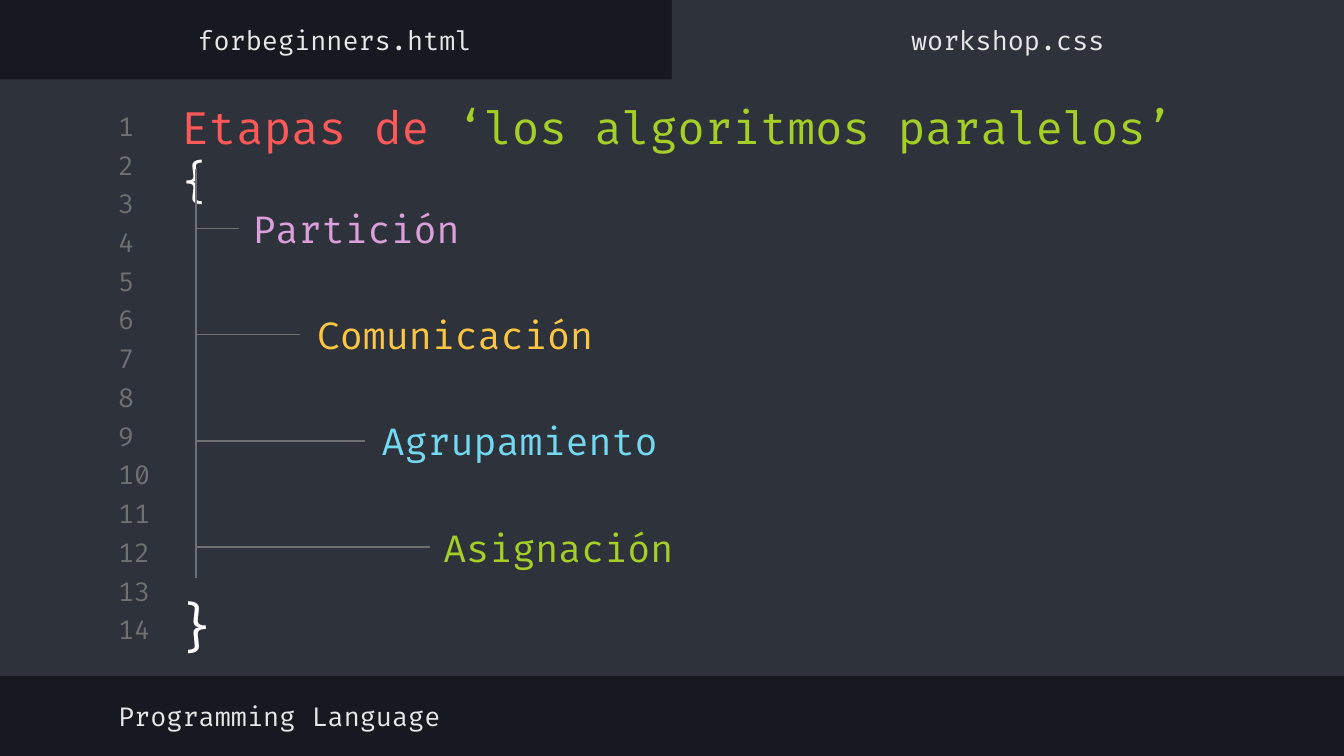
import pptx
import pptx.util
import pptx.dml.color
import pptx.enum.shapes
import pptx.enum.text
import pptx.oxml.ns
import lxml.etree

Pt = pptx.util.Pt
Align = pptx.enum.text.PP_ALIGN
Anchor = pptx.enum.text.MSO_ANCHOR

COLORS = {
    "dark": "16191F", "panel": "2E323B", "gray": "707070", "light": "E7E7E7",
    "white": "FFFFFF", "red": "FF5858", "green": "A5CF27", "pink": "DBA0DB",
    "yellow": "FCC642", "blue": "72D9F0",
}


def rgb(name):
    return pptx.dml.color.RGBColor.from_string(COLORS[name])


class CodePage:
    font = "Fira Code"
    inset = 7.2

    def __init__(self, deck):
        self.page = deck.slides.add_slide(deck.slide_layouts[6])
        fill = self.page.background.fill
        fill.solid()
        fill.fore_color.rgb = rgb("dark")

    def panel(self, left, top, width, height):
        shape = self.page.shapes.add_shape(
            pptx.enum.shapes.MSO_SHAPE.RECTANGLE,
            Pt(left), Pt(top), Pt(width), Pt(height))
        shape.shadow.inherit = False
        shape.fill.solid()
        shape.fill.fore_color.rgb = rgb("panel")
        shape.line.fill.background()

    def text(self, left, top, width, height, spans, size=14,
             align=Align.LEFT, anchor=Anchor.MIDDLE, right_inset=inset):
        box = self.page.shapes.add_textbox(Pt(left), Pt(top), Pt(width), Pt(height))
        frame = box.text_frame
        frame.word_wrap = True
        frame.vertical_anchor = anchor
        frame.margin_left = frame.margin_top = frame.margin_bottom = Pt(self.inset)
        frame.margin_right = Pt(right_inset)
        para = frame.paragraphs[0]
        para.alignment = align
        for words, color in spans:
            span = para.add_run()
            span.text = words
            span.font.name = self.font
            span.font.size = Pt(size)
            span.font.color.rgb = rgb(color)

    def line(self, x1, y1, x2, y2):
        connector = self.page.shapes.add_connector(
            pptx.enum.shapes.MSO_CONNECTOR.STRAIGHT, Pt(x1), Pt(y1), Pt(x2), Pt(y2))
        connector.line.color.rgb = rgb("gray")
        connector.line.width = Pt(0.75)
        lxml.etree.SubElement(connector._element.spPr, pptx.oxml.ns.qn("a:effectLst"))


def main():
    deck = pptx.Presentation()
    deck.slide_width, deck.slide_height = Pt(720), Pt(405)
    page = CodePage(deck)

    page.panel(0, 42.5, 720, 319.7)
    page.panel(360, 0, 360, 46.8)

    for index in range(14):
        page.text(56.2, 58.8 + 20.75 * index, 33.8, 17.3, [(str(index + 1), "gray")])

    title = [("Etapas de ", "red"), ("‘los algoritmos paralelos’ ", "green"), ("{", "white")]
    page.text(90, 46.1, 573.8, 42.5, title, size=24, anchor=Anchor.TOP, right_inset=24)
    page.text(85.7, 311, 39.6, 48.2, [("}", "white")], size=28,
              align=Align.CENTER, anchor=Anchor.TOP)

    stages = [
        ("Partición", "pink", 128.2, 161.3, 128.2),
        ("Comunicación", "yellow", 162.7, 196.6, 160.6),
        ("Agrupamiento", "blue", 197.3, 208.1, 195.8),
        ("Asignación", "green", 230.4, 198, 230.4),
    ]
    stage_gap = 56.9
    for index, (name, color, left, width, _) in enumerate(stages):
        page.text(left, 99.4 + stage_gap * index, width, 46.1, [(name, color)], size=20)

    page.text(56.2, 369.4, 383, 28.1, [("Programming Language", "light")])
    for left, tab in [(-0.7, "forbeginners.html"), (360, "workshop.css")]:
        page.text(left, 7.2, 360, 28.1, [(tab, "light")], align=Align.CENTER)

    trunk = 105.1
    page.line(trunk, 90.7, trunk, 309.6)
    for index, (*_, branch_end) in enumerate(stages):
        level = 122.4 + stage_gap * index
        page.line(trunk, level, branch_end, level)

    deck.save("out.pptx")


if __name__ == "__main__":
    main()
